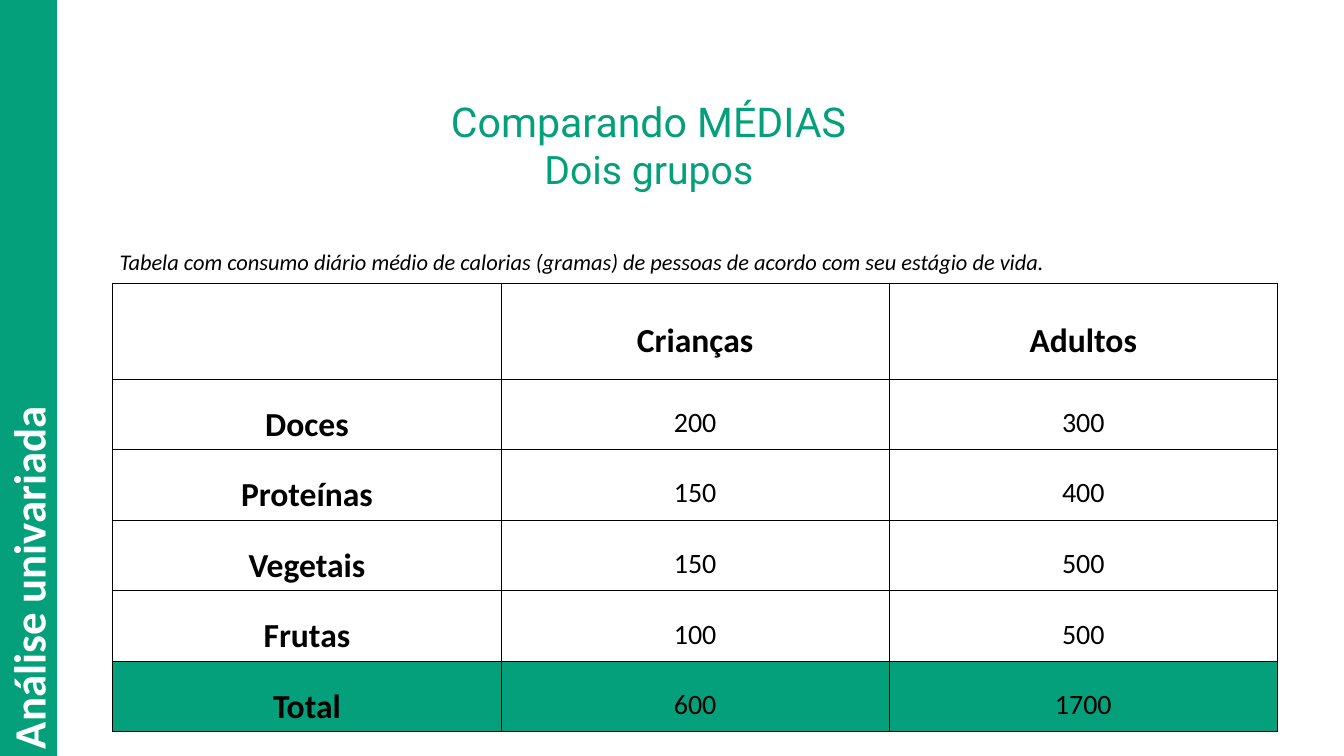
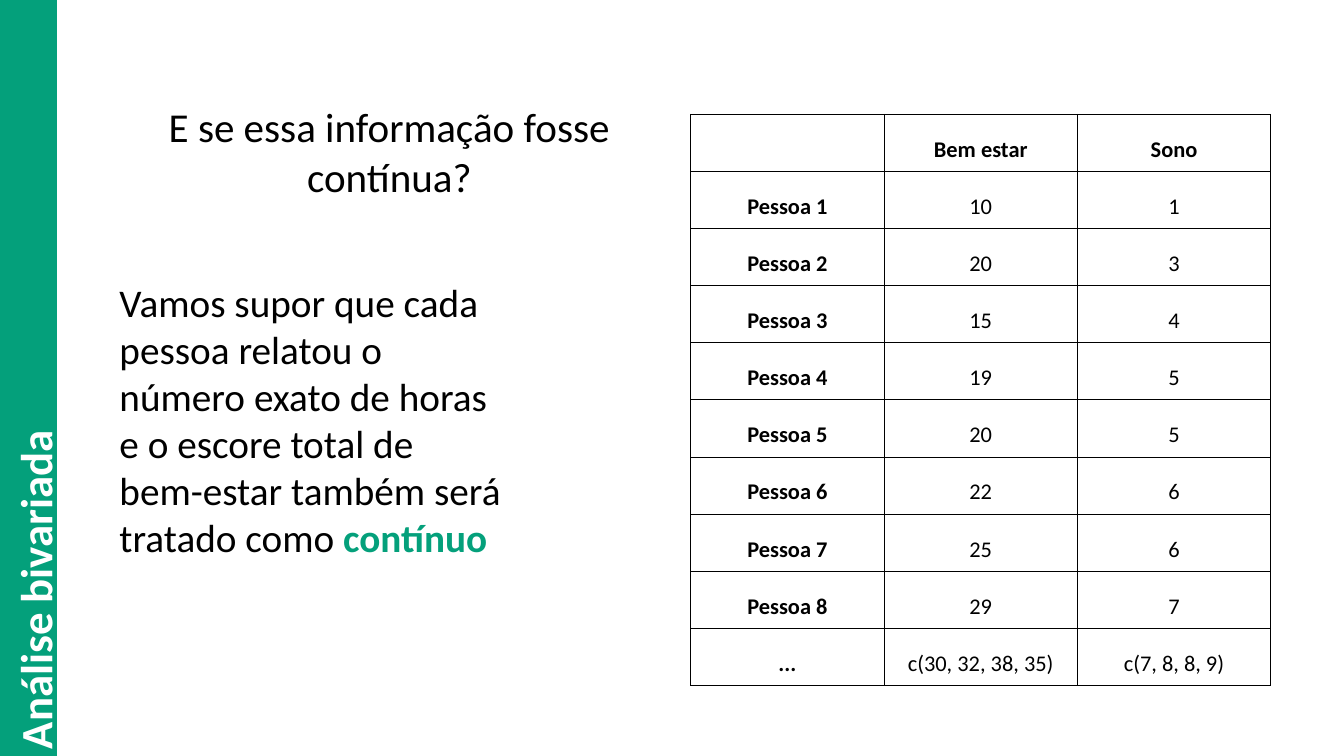
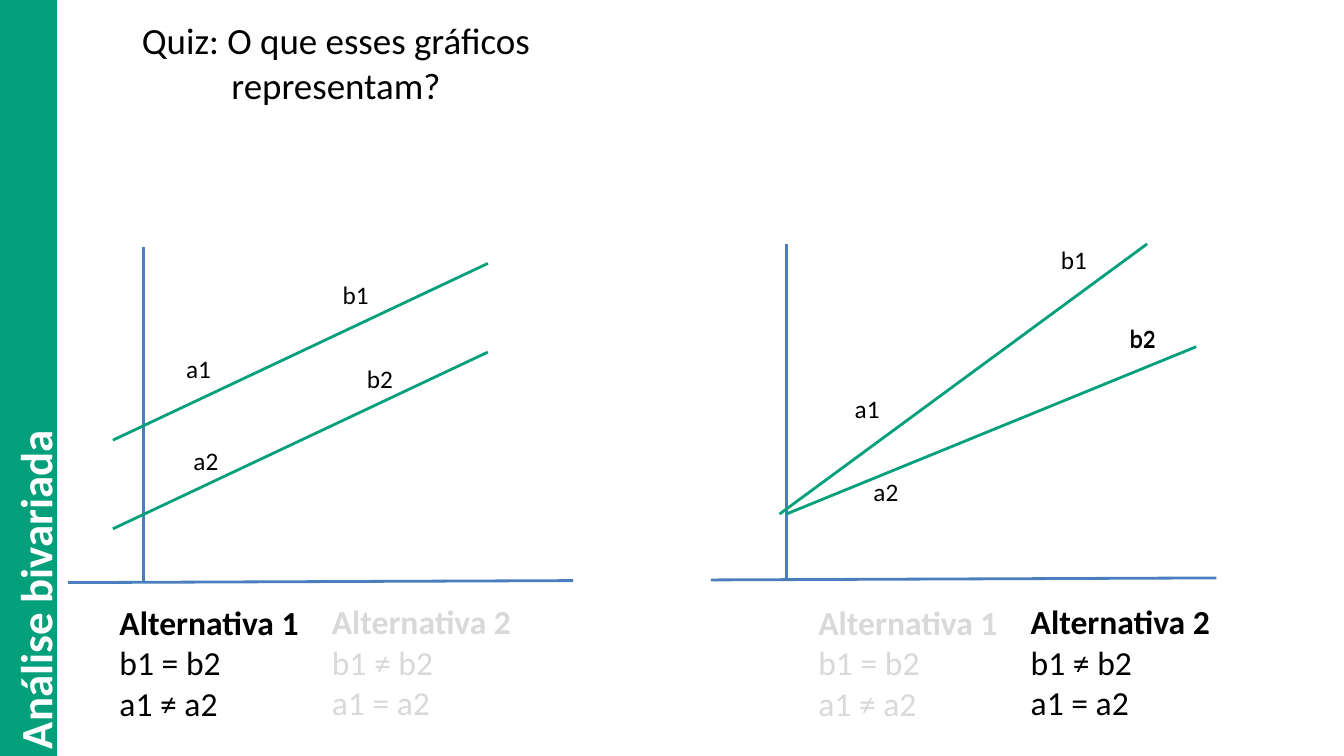
from lxml.etree import SubElement
from pptx import Presentation
from pptx.dml.color import RGBColor
from pptx.enum.shapes import MSO_CONNECTOR, MSO_SHAPE
from pptx.enum.text import MSO_ANCHOR, PP_ALIGN
from pptx.oxml.ns import qn
from pptx.util import Inches, Pt

GREEN = RGBColor(0x04, 0xA0, 0x7B)
BLUE = RGBColor(0x4B, 0x7E, 0xBC)
BLACK = RGBColor(0, 0, 0)
WHITE = RGBColor(0xFF, 0xFF, 0xFF)
LIGHT_GRAY = RGBColor(0xD9, 0xD9, 0xD9)

SLIDE_WIDTH, SLIDE_HEIGHT = 20, 11.25
MARGIN = 1.68
GRAPH_OFFSET = (9.57, -0.04)
ALTERNATIVE_STEP = 3.16
ALTERNATIVES = [
    ("Alternativa 1", "b1 = b2", "a1 ≠ a2"),
    ("Alternativa 2", "b1 ≠ b2", "a1 = a2"),
]

CALORIES = [
    ("", "Crianças", "Adultos"),
    ("Doces", "200", "300"),
    ("Proteínas", "150", "400"),
    ("Vegetais", "150", "500"),
    ("Frutas", "100", "500"),
    ("Total", "600", "1700"),
]
WELL_BEING = [
    ("", "Bem estar", "Sono"),
    ("Pessoa 1", "10", "1"),
    ("Pessoa 2", "20", "3"),
    ("Pessoa 3", "15", "4"),
    ("Pessoa 4", "19", "5"),
    ("Pessoa 5", "20", "5"),
    ("Pessoa 6", "22", "6"),
    ("Pessoa 7", "25", "6"),
    ("Pessoa 8", "29", "7"),
    ("...", "c(30, 32, 38, 35)", "c(7, 8, 8, 9)"),
]


def set_font(font, size, color=BLACK, **formats):
    font.color.rgb = color
    values = {"name": "Calibri", "size": Pt(size), "bold": False} | formats
    for name, value in values.items():
        setattr(font, name, value)


def add_text(slide, box, paragraphs, anchor=MSO_ANCHOR.TOP, align=PP_ALIGN.LEFT, wrap=True):
    """Add a text box; each paragraph is a list of (text, size, formats) runs."""
    shape = slide.shapes.add_textbox(*map(Inches, box))
    frame = shape.text_frame
    frame.word_wrap = wrap
    frame.vertical_anchor = anchor
    for index, runs in enumerate(paragraphs):
        paragraph = frame.add_paragraph() if index else frame.paragraphs[0]
        paragraph.alignment = align
        for text, size, formats in runs:
            if text.startswith("\v"):
                paragraph.add_line_break()
            run = paragraph.add_run()
            run.text = text.lstrip("\v")
            set_font(run.font, size, **formats)
    return shape


def add_title(slide, box, runs):
    add_text(slide, box, [runs], MSO_ANCHOR.MIDDLE, PP_ALIGN.CENTER)


def add_sidebar(slide, text, left=-3.49):
    """Add the green band with the section name reading upwards."""
    band = slide.shapes.add_shape(
        MSO_SHAPE.RECTANGLE, 0, 0, Inches(0.84), Inches(SLIDE_HEIGHT))
    band.shadow.inherit = False
    band.fill.solid()
    band.fill.fore_color.rgb = GREEN
    band.line.color.rgb = GREEN
    band.line.width = Pt(2)
    section = add_text(slide, (left, 6.78, 8.02, 0.91),
                       [[(text, 48, {"color": WHITE, "bold": True})]])
    section.rotation = 270


def set_borders(cell):
    properties = cell._tc.get_or_add_tcPr()
    for index, side in enumerate(("lnL", "lnR", "lnT", "lnB")):
        line = properties.makeelement(qn(f"a:{side}"), {"w": str(Pt(1))})
        fill = SubElement(line, qn("a:solidFill"))
        SubElement(fill, qn("a:srgbClr"), val=str(BLACK))
        properties.insert(index, line)


def add_table(slide, box, rows, row_heights, heading_size, value_size, total_row=None):
    frame = slide.shapes.add_table(len(rows), len(rows[0]), *map(Inches, box))
    table = frame.table
    table.first_row = table.horz_banding = False
    for column in table.columns:
        column.width = Inches(box[2] / len(rows[0]))
    for row_index, values in enumerate(rows):
        table.rows[row_index].height = Inches(row_heights[row_index])
        for column_index, value in enumerate(values):
            cell = table.cell(row_index, column_index)
            cell.vertical_anchor = MSO_ANCHOR.MIDDLE
            cell.margin_left = cell.margin_right = Inches(0.15)
            cell.margin_top = cell.margin_bottom = Inches(0.07)
            if row_index == total_row:
                cell.fill.solid()
                cell.fill.fore_color.rgb = GREEN
            else:
                cell.fill.background()
            set_borders(cell)
            if value:
                heading = row_index == 0 or column_index == 0
                paragraph = cell.text_frame.paragraphs[0]
                paragraph.alignment = PP_ALIGN.CENTER
                paragraph.line_spacing = 1.5
                run = paragraph.add_run()
                run.text = value
                set_font(run.font, heading_size if heading else value_size, bold=heading)


def add_line(slide, start, end, color):
    line = slide.shapes.add_connector(
        MSO_CONNECTOR.STRAIGHT, *map(Inches, (*start, *end)))
    line.line.color.rgb = color
    line.line.width = Pt(3)
    SubElement(line._element.spPr, qn("a:effectLst"))


def add_graph(slide, offset, trends, labels):
    """Add a pair of axes moved by offset, then trend lines and their labels."""
    x, y = offset
    add_line(slide, (2.13 + x, 8.67 + y), (2.13 + x, 3.67 + y), BLUE)
    add_line(slide, (1.01 + x, 8.67 + y), (8.53 + x, 8.64 + y), BLUE)
    for start, end in trends:
        add_line(slide, start, end, GREEN)
    for text, left, top in labels:
        add_text(slide, (left, top, 0.59, 0.56), [[(text, 27, {})]], wrap=False)


def add_alternatives(slide, left, answer):
    """Add both alternatives side by side, with all but the answer dimmed."""
    for index, (heading, *conditions) in enumerate(ALTERNATIVES):
        color = BLACK if index == answer else LIGHT_GRAY
        paragraphs = [[(heading, 36, {"color": color, "bold": True})]]
        paragraphs += [[(text, 36, {"color": color})] for text in conditions]
        box = (left + index * ALTERNATIVE_STEP, 8.91 - index * 0.01, 3.66, 2.52)
        add_text(slide, box, paragraphs)


def build_means_slide(slide):
    title_format = {"name": "Roboto", "color": GREEN}
    add_title(slide, (MARGIN, 0.92, 15.95, 2.46),
              [("Comparando MÉDIAS", 44, title_format), ("\vDois grupos", 42, title_format)])
    add_sidebar(slide, "Análise univariada", left=-3.59)
    add_table(slide, (MARGIN, 4.21, 17.33, 6.68), CALORIES,
              [1.43] + [1.05] * 5, 36, 30, total_row=5)
    caption = ("Tabela com consumo diário médio de calorias (gramas) "
               "de pessoas de acordo com seu estágio de vida.")
    add_text(slide, (MARGIN, 3.65, 18.02, 0.5), [[(caption, 24, {"italic": True})]])


def build_continuous_slide(slide):
    add_title(slide, (MARGIN, 0.96, 8.23, 2.58),
              [("E se essa informação fosse contínua?", 44, {})])
    body = ("Vamos supor que cada pessoa relatou o número exato de horas e o escore "
            "total de bem-estar também será tratado como ")
    add_text(slide, (MARGIN, 4.09, 5.87, 5.69),
             [[(body, 42, {}), ("contínuo", 42, {"color": GREEN, "bold": True})]])
    add_table(slide, (10.28, 1.7, 8.63, 8.53), WELL_BEING, [0.85] * 10, 24, 24)
    add_sidebar(slide, "Análise bivariada")


def build_quiz_slide(slide):
    add_title(slide, (0.5, 0.3, 9, 1.25),
              [("Quiz: O que esses gráficos representam?", 39.6, {})])
    add_graph(slide, (0, 0),
              [((MARGIN, 6.55), (7.26, 3.92)), ((MARGIN, 7.87), (7.26, 5.24))],
              [("b1", 5, 4.11), ("b2", 5.36, 5.36), ("a1", 2.67, 5.21), ("a2", 2.78, 6.58)])
    add_graph(slide, GRAPH_OFFSET,
              [((11.6, 7.65), (17.07, 3.63)), ((11.7, 7.65), (17.8, 5.16))],
              [("b2", 16.71, 4.76), ("b1", 15.69, 3.59), ("b2", 16.71, 4.74),
               ("a1", 12.62, 5.8), ("a2", 12.9, 7.04)])
    add_alternatives(slide, MARGIN, answer=0)
    add_alternatives(slide, 12.08, answer=1)
    add_sidebar(slide, "Análise bivariada")


def main():
    presentation = Presentation()
    presentation.slide_width = Inches(SLIDE_WIDTH)
    presentation.slide_height = Inches(SLIDE_HEIGHT)
    blank_layout = presentation.slide_layouts[6]
    for build in (build_means_slide, build_continuous_slide, build_quiz_slide):
        build(presentation.slides.add_slide(blank_layout))
    presentation.save("out.pptx")


if __name__ == "__main__":
    main()
